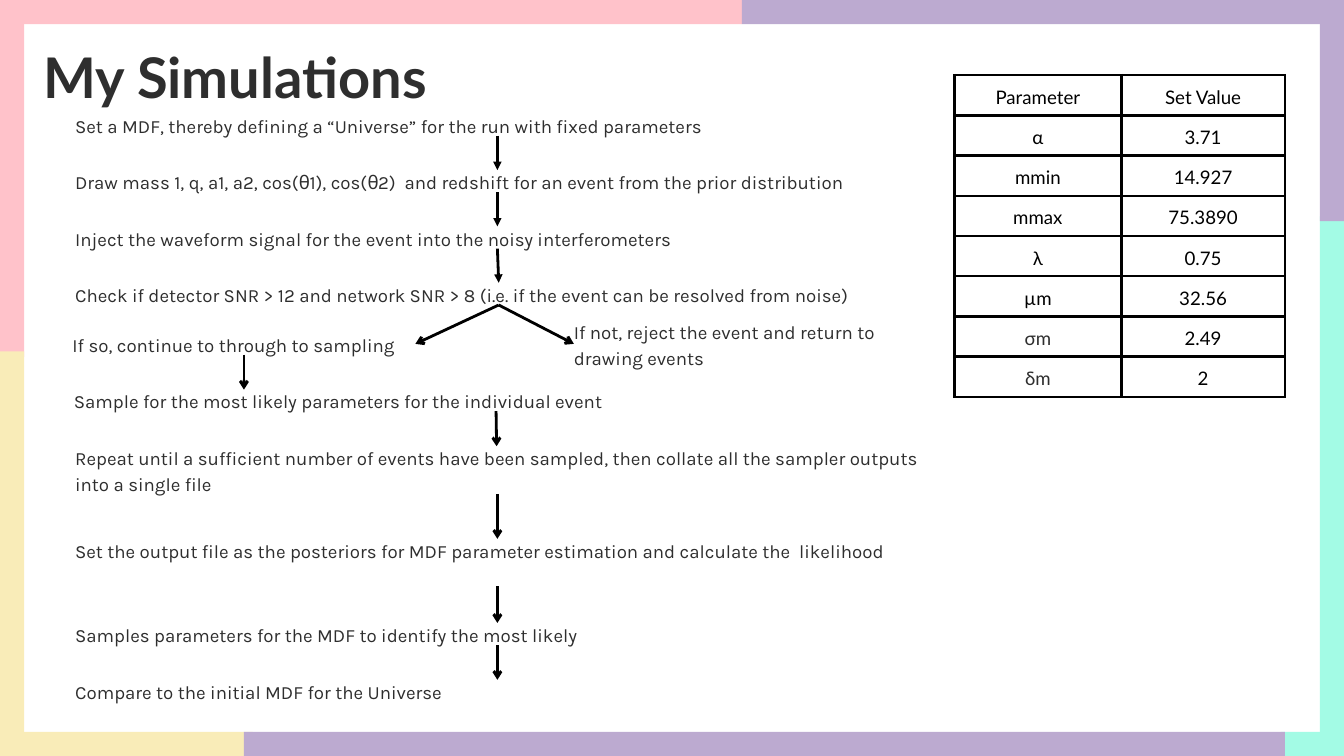
from lxml import etree
from pptx import Presentation
from pptx.dml.color import RGBColor
from pptx.enum.shapes import MSO_CONNECTOR as CONNECTOR, MSO_SHAPE as SHAPE
from pptx.enum.text import MSO_ANCHOR as ANCHOR, PP_ALIGN as ALIGN
from pptx.oxml import parse_xml
from pptx.oxml.ns import nsdecls, qn
from pptx.util import Cm, Pt

COLORS = {
    "pink": "FFC2CA", "mint": "A3FBE5", "yellow": "F9ECB8", "purple": "BCAAD0",
    "ink": "2E2E2E", "black": "000000", "white": "FFFFFF",
}
TITLE = {"name": "Lato", "size": Pt(60), "bold": True}
STEP = {"name": "Karla", "size": Pt(20), "bold": False}
CELL = {"name": "Lato", "size": Pt(20), "bold": False}


def write(frame, text, style, color, spacing, align=ALIGN.LEFT):
    paragraph = frame.paragraphs[0]
    paragraph.line_spacing = Pt(spacing)
    paragraph.alignment = align
    run = paragraph.add_run()
    run.text = text
    for attribute, value in style.items():
        setattr(run.font, attribute, value)
    run.font.color.rgb = RGBColor.from_string(COLORS[color])


def add_text(box, text, style, spacing):
    frame = slide.shapes.add_textbox(*map(Cm, box)).text_frame
    frame.word_wrap = True
    for side in ("left", "top", "right", "bottom"):
        setattr(frame, f"margin_{side}", 0)
    write(frame, text, style, "ink", spacing)


prs = Presentation()
prs.slide_width, prs.slide_height = Cm(50.8), Cm(28.58)
slide = prs.slides.add_slide(prs.slide_layouts[6])

# Coloured frame: colour, left, top, width, height
EDGE, RIGHT, BOTTOM = 0.91, 49.89, 27.67
frame_bars = [
    ("mint", RIGHT, 8.18, EDGE, 20.4),
    ("pink", 0.89, 0, 27.15, EDGE),
    ("pink", 0, 0, EDGE, 13.49),
    ("yellow", 0, 13.28, EDGE, 15.3),
    ("purple", 28.04, 0, 22.76, EDGE),
    ("purple", RIGHT, 0, EDGE, 8.36),
    ("mint", 48.41, BOTTOM, 1.93, EDGE),
    ("yellow", 0.46, BOTTOM, 9.09, EDGE),
    ("purple", 9.22, BOTTOM, 39.35, EDGE),
]
for color, *box in frame_bars:
    bar = slide.shapes.add_shape(SHAPE.RECTANGLE, *map(Cm, box))
    bar.shadow.inherit = False
    bar.fill.solid()
    bar.fill.fore_color.rgb = RGBColor.from_string(COLORS[color])
    bar.line.fill.background()

# Title
add_text((1.63, 1.19, 46.3, 2.82), "My Simulations", TITLE, 84)

# Flow steps: left, top, width, height, text
LEFT, WIDE, ONE_LINE, TWO_LINES = 2.84, 31.9, 0.94, 1.93
steps = [
    (LEFT, 4.19, WIDE, ONE_LINE,
     "Set a MDF, thereby defining a “Universe” for the run with fixed parameters"),
    (LEFT, 6.32, WIDE, ONE_LINE,
     "Draw mass 1, q, a1, a2, cos(θ1), cos(θ2)  and redshift for an event from the prior distribution"),
    (LEFT, 8.46, WIDE, ONE_LINE,
     "Inject the waveform signal for the event into the noisy interferometers"),
    (LEFT, 10.59, WIDE, ONE_LINE,
     "Check if detector SNR > 12 and network SNR > 8 (i.e. if the event can be resolved from noise)"),
    (21.69, 11.99, 11.46, TWO_LINES,
     "If not, reject the event and return to drawing events"),
    (2.74, 12.47, 12.95, ONE_LINE, "If so, continue to through to sampling"),
    (2.79, 14.6, WIDE, ONE_LINE,
     "Sample for the most likely parameters for the individual event"),
    (LEFT, 16.74, WIDE, TWO_LINES,
     "Repeat until a sufficient number of events have been sampled, "
     "then collate all the sampler outputs into a single file"),
    (LEFT, 20.27, WIDE, TWO_LINES,
     "Set the output file as the posteriors for MDF parameter estimation and calculate the  likelihood"),
    (LEFT, 23.44, WIDE, ONE_LINE,
     "Samples parameters for the MDF to identify the most likely"),
    (LEFT, 25.6, WIDE, ONE_LINE, "Compare to the initial MDF for the Universe"),
]
for *box, text in steps:
    add_text(box, text, STEP, 28)

# Flow arrows: head, start x, start y, end x, end y
MID = 18.8
arrows = [
    ("triangle", MID, 5.13, MID, 6.43),
    ("triangle", MID, 7.26, MID, 8.56),
    ("triangle", MID, 9.4, 18.85, 10.69),
    ("arrow", 18.85, 11.53, 15.7, 13),
    ("arrow", 18.85, 11.53, 21.69, 13),
    ("arrow", 9.22, 13.41, 9.22, 14.73),
    ("arrow", 18.75, 15.54, 18.77, 16.87),
    ("arrow", MID, 18.67, MID, 20.37),
    ("arrow", MID, 22.17, MID, 23.55),
    ("arrow", MID, 24.38, MID, 25.7),
]
for head, *ends in arrows:
    arrow = slide.shapes.add_connector(CONNECTOR.STRAIGHT, *map(Cm, ends))
    arrow.line.width = Pt(3)
    arrow.line.color.rgb = RGBColor.from_string(COLORS["black"])
    properties = arrow.element.spPr
    etree.SubElement(properties.find(qn("a:ln")), qn("a:tailEnd"), type=head)
    etree.SubElement(properties, qn("a:effectLst"))

# Parameter table
parameters = [
    ("Parameter", "Set Value"), ("α", "3.71"), ("mmin", "14.927"),
    ("mmax", "75.3890"), ("λ", "0.75"), ("µm", "32.56"), ("σm", "2.49"), ("δm", "2"),
]
ROW = 1.52
table = slide.shapes.add_table(
    len(parameters), 2, Cm(36.07), Cm(2.84), Cm(12.49), Cm(ROW * len(parameters))).table
table.first_row = table.horz_banding = False
for column, width in zip(table.columns, (6.32, 6.17)):
    column.width = Cm(width)
for r, values in enumerate(parameters):
    table.rows[r].height = Cm(ROW)
    for c, text in enumerate(values):
        cell = table.cell(r, c)
        cell.vertical_anchor = ANCHOR.MIDDLE
        for side in ("left", "top", "right", "bottom"):
            setattr(cell, f"margin_{side}", Cm(0.13))
        for edge in ("lnL", "lnR", "lnT", "lnB"):
            cell._tc.get_or_add_tcPr().append(parse_xml(
                f'<a:{edge} {nsdecls("a")} w="{Pt(3)}"><a:solidFill>'
                f'<a:srgbClr val="{COLORS["black"]}"/></a:solidFill></a:{edge}>'))
        cell.fill.solid()
        cell.fill.fore_color.rgb = RGBColor.from_string(COLORS["white"])
        color = "ink" if text in ("σm", "δm") else "black"
        write(cell.text_frame, text, CELL, color, 28, ALIGN.CENTER)

prs.save("out.pptx")
